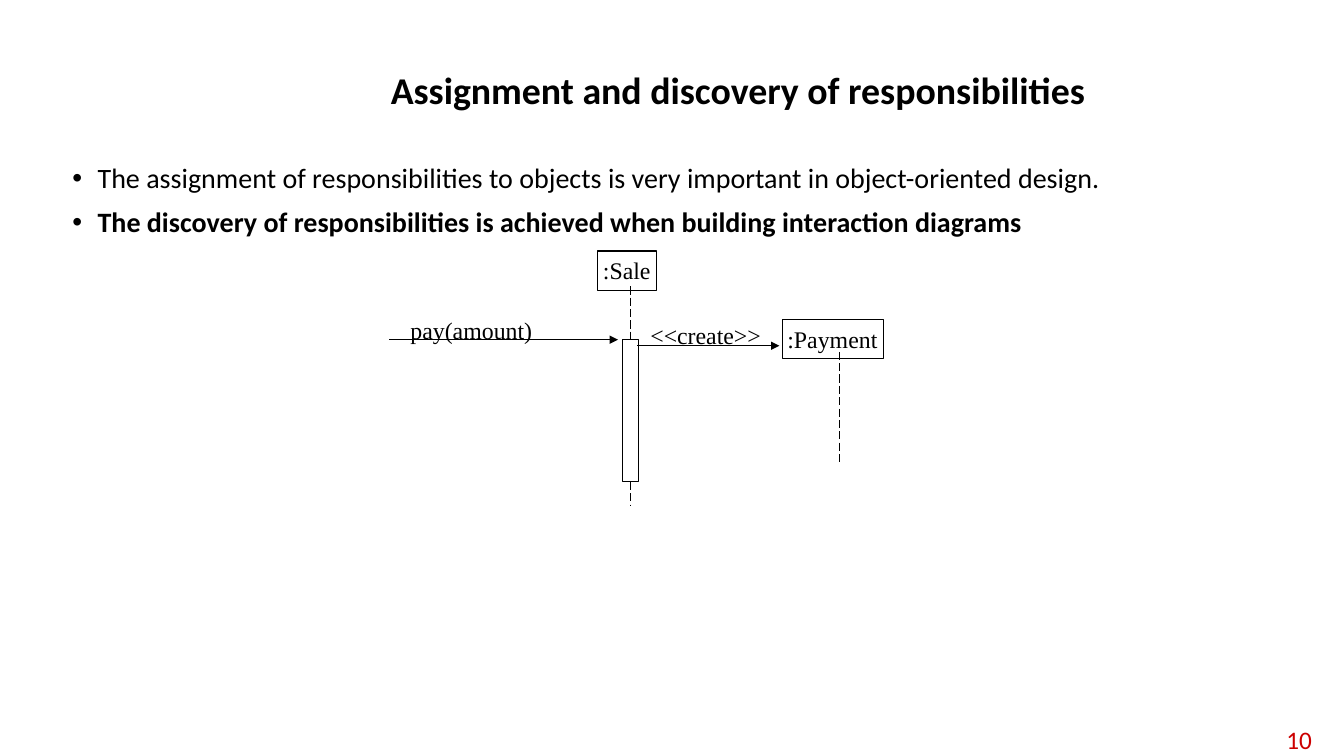
from lxml.etree import SubElement
from pptx import Presentation
from pptx.dml.color import RGBColor
from pptx.enum.dml import MSO_LINE
from pptx.enum.shapes import MSO_CONNECTOR, MSO_SHAPE
from pptx.enum.text import MSO_ANCHOR, PP_ALIGN
from pptx.oxml.ns import qn
from pptx.util import Inches, Pt

BLACK, RED = "000000", "CC0000"
SANS, SERIF = "Calibri", "Times New Roman"

TITLE = "Assignment and discovery of responsibilities"
BULLETS = [
    ("The assignment of responsibilities to objects is very important in object-oriented design.", False),
    ("The discovery of responsibilities is achieved when building interaction diagrams", True),
]
NUMBER = "10"

# text, (left, top, width, height)
OBJECTS = [
    (":Sale", (5.93, 2.49, 0.58, 0.39)),
    (":Payment", (7.76, 3.17, 1, 0.39)),
]
LABELS = [
    ("pay(amount)", (4.02, 3.08, 1.32, 0.39)),
    ("<<create>>", (6.4, 3.13, 1.21, 0.39)),
]
BAR = (6.17, 3.37, 0.16, 1.41)
# left, right, height on the slide
MESSAGES = [(3.86, 6.13, 3.37), (6.32, 7.73, 3.43)]
# centre, top, bottom
ABOVE, BELOW, PAYMENT = (6.25, 2.84, 3.37), (6.25, 4.78, 5.01), (8.33, 3.49, 4.6)


def color(code):
    return RGBColor.from_string(code)


def style(par, size, face, code=BLACK, bold=False):
    for run in par.runs:
        font = run.font
        font.size, font.name, font.bold = Pt(size), face, bold
        font.color.rgb = color(code)


def text_box(area):
    frame = slide.shapes.add_textbox(*map(Inches, area)).text_frame
    frame.word_wrap = True
    return frame


def outline(area):
    """Add an unfilled rectangle with a thin black line."""
    box = slide.shapes.add_shape(MSO_SHAPE.RECTANGLE, *map(Inches, area))
    box.shadow.inherit = False
    box.fill.background()
    box.line.color.rgb = color(BLACK)
    box.line.width = Pt(0.75)
    return box


def label(frame, text):
    """Write a diagram label on one line with narrow margins."""
    frame.word_wrap = False
    frame.vertical_anchor = MSO_ANCHOR.TOP
    frame.margin_left = frame.margin_right = Inches(0.05)
    frame.margin_top = frame.margin_bottom = Inches(0.05)
    frame.text = text
    par = frame.paragraphs[0]
    par.alignment = PP_ALIGN.LEFT
    style(par, 17, SERIF)


def link(x1, y1, x2, y2):
    line = slide.shapes.add_connector(
        MSO_CONNECTOR.STRAIGHT, *map(Inches, (x1, y1, x2, y2)))
    line.line.color.rgb = color(BLACK)
    line.line.width = Pt(0.75)
    SubElement(line._element.spPr, qn("a:effectLst"))
    return line


def lifeline(x, top, bottom):
    line = link(x, top, x, bottom)
    line.line.dash_style = MSO_LINE.LONG_DASH
    return line


def message(left, right, y):
    line = link(left, y, right, y)
    SubElement(line.line._get_or_add_ln(), qn("a:tailEnd"), type="triangle")


def bullet(par):
    props = par._p.get_or_add_pPr()
    props.set("marL", str(Inches(0.25)))
    props.set("indent", str(-Inches(0.25)))
    SubElement(props, qn("a:buFont"), typeface="Arial")
    SubElement(props, qn("a:buChar"), char="•")


deck = Presentation()
deck.slide_width, deck.slide_height = Inches(13.33), Inches(7.5)
slide = deck.slides.add_slide(deck.slide_layouts[6])

frame = text_box((12.42, 7.16, 0.69, 0.36))
frame.vertical_anchor = MSO_ANCHOR.MIDDLE
frame.text = NUMBER
frame.paragraphs[0].alignment = PP_ALIGN.RIGHT
style(frame.paragraphs[0], 18, SANS, RED)

frame = text_box((2.23, 0.4, 10.18, 1.02))
frame.vertical_anchor = MSO_ANCHOR.MIDDLE
frame.text = TITLE
frame.paragraphs[0].alignment = PP_ALIGN.CENTER
frame.paragraphs[0].line_spacing = 0.9
style(frame.paragraphs[0], 27, SANS, bold=True)

frame = text_box((0.62, 1.58, 11.8, 5.17))
frame.text = "\n".join(text for text, _ in BULLETS)
for i, (par, (_, bold)) in enumerate(zip(frame.paragraphs, BULLETS)):
    bullet(par)
    par.line_spacing = 0.9
    par.space_before = Pt(10 if i else 0)
    style(par, 20, SANS, bold=bold)

for text, area in OBJECTS:
    label(outline(area).text_frame, text)
for text, area in LABELS:
    label(text_box(area), text)

bar = outline(BAR)
lifeline(*ABOVE).end_connect(bar, 0)
lifeline(*BELOW).begin_connect(bar, 2)
lifeline(*PAYMENT)
for ends in MESSAGES:
    message(*ends)

deck.save("out.pptx")
